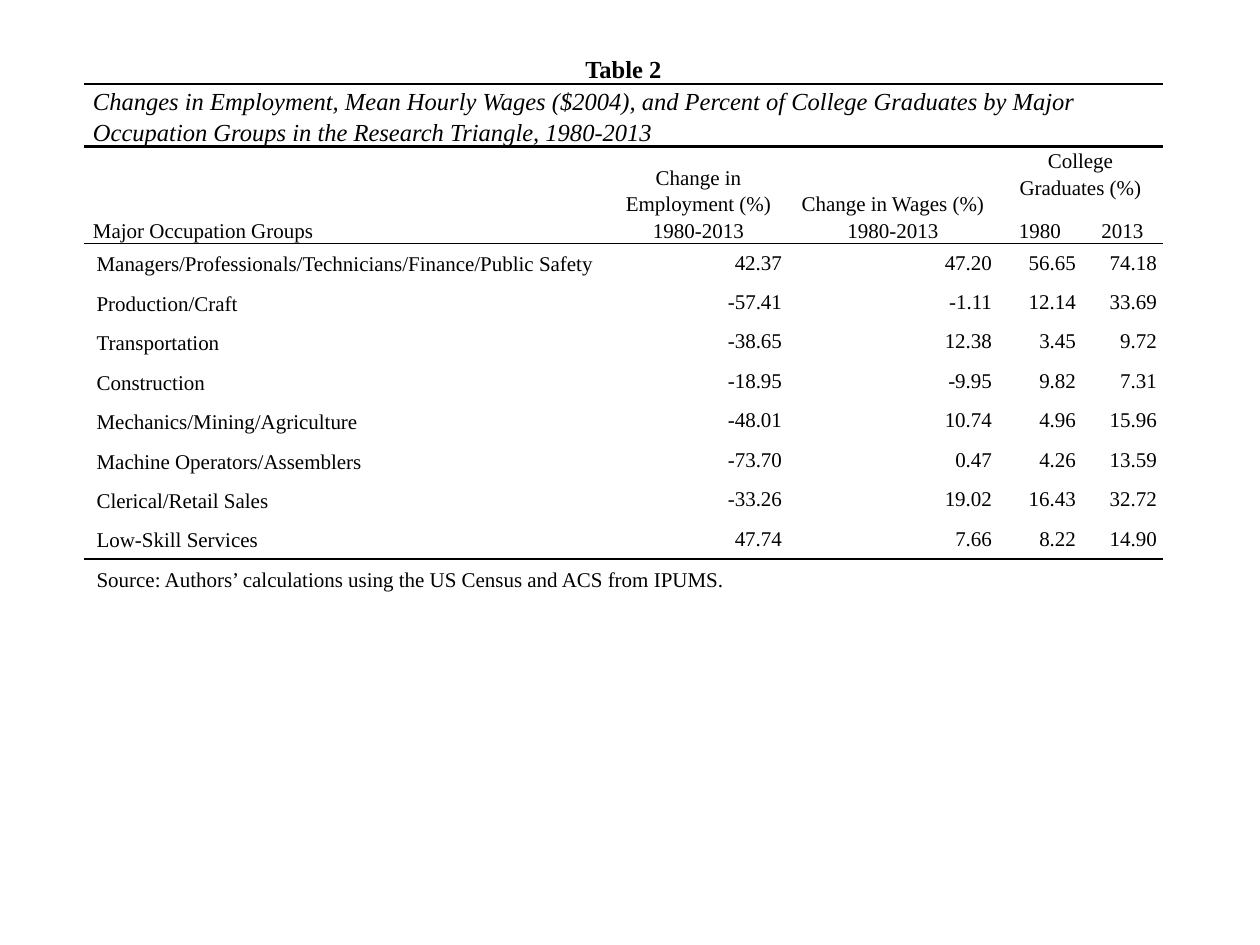
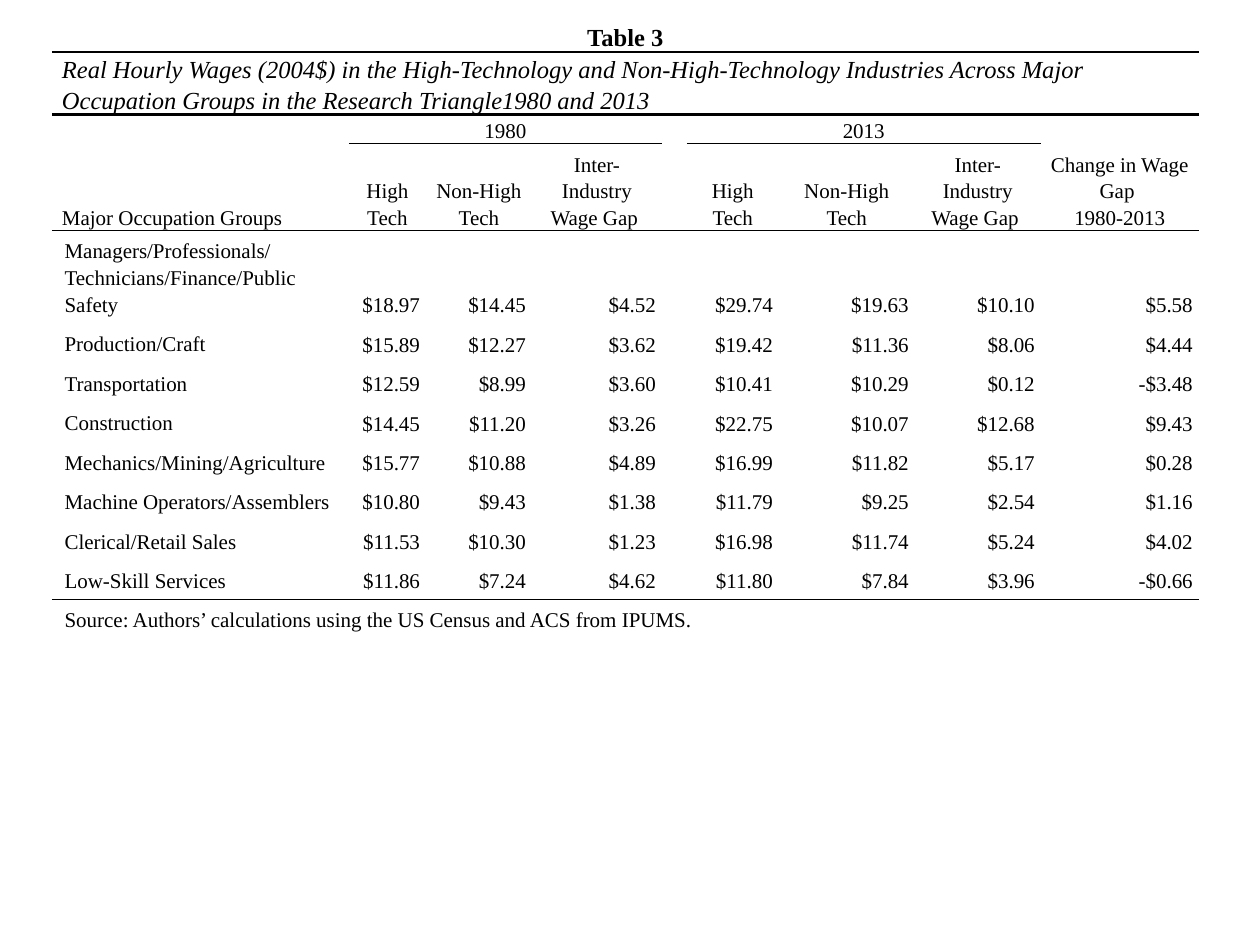
"""Build two slides, each holding one ruled statistical table."""
from dataclasses import dataclass

from lxml import etree
from pptx import Presentation
from pptx.dml.color import RGBColor
from pptx.enum.text import MSO_ANCHOR, PP_ALIGN
from pptx.oxml.ns import qn
from pptx.util import Pt

LEFT, CENTER, RIGHT = PP_ALIGN.LEFT, PP_ALIGN.CENTER, PP_ALIGN.RIGHT
BOTTOM, MIDDLE = MSO_ANCHOR.BOTTOM, MSO_ANCHOR.MIDDLE
EMU_PER_PIXEL = 914400 / 126
SLIDE_WIDTH, SLIDE_HEIGHT = 1260, 945
BLANK_LAYOUT = 6
FIRST_BODY_ROW = 4
TITLE_HEIGHT, CAPTION_HEIGHT, BODY_HEIGHT = 31, 62, 39


@dataclass(frozen=True)
class Theme:
    """Colours, type and rule widths shared by both tables."""
    ink: str = "000000"
    font: str = "Times New Roman"
    title_size: int = 14
    body_size: int = 12
    line_spacing: float = 1.15
    heavy_rule: float = 1.5
    light_rule: float = 1
    number_margin: int = 6


THEME = Theme()

TITLE_FONT = {"size": Pt(THEME.title_size), "bold": True, "italic": False}
CAPTION_FONT = {"size": Pt(THEME.title_size), "bold": False, "italic": True}
BODY_FONT = {"size": Pt(THEME.body_size), "bold": False, "italic": False}
SPACED = {"line_spacing": THEME.line_spacing}

# role: (font, paragraph, vertical anchor)
ROLES = {
    "title": (TITLE_FONT, {"alignment": CENTER, **SPACED}, BOTTOM),
    "caption": (CAPTION_FONT, {"alignment": LEFT, **SPACED}, BOTTOM),
    "row heading": (BODY_FONT, {"alignment": LEFT, **SPACED}, BOTTOM),
    "heading": (BODY_FONT, {"alignment": CENTER, **SPACED}, BOTTOM),
    "label": (BODY_FONT, {"alignment": LEFT, **SPACED}, MIDDLE),
    "number": (BODY_FONT, {"alignment": RIGHT}, MIDDLE),
}

GROUPS = ["Production/Craft", "Transportation", "Construction",
          "Mechanics/Mining/Agriculture", "Machine Operators/Assemblers",
          "Clerical/Retail Sales", "Low-Skill Services"]
SOURCE = "Source: Authors’ calculations using the US Census and ACS from IPUMS."

CHANGES = """
42.37 47.20 56.65 74.18
-57.41 -1.11 12.14 33.69
-38.65 12.38 3.45 9.72
-18.95 -9.95 9.82 7.31
-48.01 10.74 4.96 15.96
-73.70 0.47 4.26 13.59
-33.26 19.02 16.43 32.72
47.74 7.66 8.22 14.90
"""

WAGES = """
$18.97 $14.45 $4.52 $29.74 $19.63 $10.10 $5.58
$15.89 $12.27 $3.62 $19.42 $11.36 $8.06 $4.44
$12.59 $8.99 $3.60 $10.41 $10.29 $0.12 -$3.48
$14.45 $11.20 $3.26 $22.75 $10.07 $12.68 $9.43
$15.77 $10.88 $4.89 $16.99 $11.82 $5.17 $0.28
$10.80 $9.43 $1.38 $11.79 $9.25 $2.54 $1.16
$11.53 $10.30 $1.23 $16.98 $11.74 $5.24 $4.02
$11.86 $7.24 $4.62 $11.80 $7.84 $3.96 -$0.66
"""


@dataclass
class TableContent:
    """What differs from one table to the other; lengths in pixels."""
    left: int
    top: int
    columns: list
    heading_heights: list
    heading_margin: int
    number_anchor: object
    title: str
    caption: str
    headings: list
    heading_merges: list
    body: list
    group_rule_columns: tuple = ()


def pixels(length):
    """Turn pixels into EMU."""
    return round(length * EMU_PER_PIXEL)


def set_attributes(target, values):
    """Set every attribute named in a dict."""
    for name, value in values.items():
        setattr(target, name, value)


def body_rows(first_label, figures, gap=None):
    """Join group labels and figures, leaving an empty gap column if asked."""
    rows = []
    for label, line in zip([first_label, *GROUPS], figures.split("\n")[1:]):
        values = line.split()
        if gap is not None:
            values.insert(gap, "")
        rows.append([label, *values])
    return rows


def rule_widths(content, row_count):
    """Map (line, column) to a rule width, line 0 being the table's top."""
    lines = {1: THEME.heavy_rule, 2: THEME.heavy_rule,
             FIRST_BODY_ROW: THEME.light_rule, row_count - 1: THEME.light_rule}
    rules = {(line, column): width for line, width in lines.items()
             for column in range(len(content.columns))}
    for column in content.group_rule_columns:
        rules[FIRST_BODY_ROW - 1, column] = THEME.light_rule
    return rules


def draw_border(cell, side, width):
    """Give one side of a cell a solid rule, or none."""
    properties = cell._tc.get_or_add_tcPr()
    line = etree.SubElement(properties, qn(f"a:ln{side}"), w=str(Pt(width or 0)))
    if width:
        fill = etree.SubElement(line, qn("a:solidFill"))
        etree.SubElement(fill, qn("a:srgbClr"), val=THEME.ink)
    else:
        etree.SubElement(line, qn("a:noFill"))


def role_of(row, column, row_count):
    """Name the role a cell plays from its place in the table."""
    if row < 2:
        return ("title", "caption")[row]
    if row < FIRST_BODY_ROW:
        return "heading" if column else "row heading"
    return "number" if column and row < row_count - 1 else "label"


def set_margins(cell, side, end):
    """Set equal left and right, and equal top and bottom, margins."""
    set_attributes(cell, {"margin_left": pixels(side), "margin_right": pixels(side),
                          "margin_top": pixels(end), "margin_bottom": pixels(end)})


def write_cell(cell, text, role, content):
    """Write and format a cell's paragraphs; a line feed parts paragraphs."""
    font, paragraph_format, anchor = ROLES[role]
    cell.vertical_anchor = content.number_anchor if role == "number" else anchor
    if role == "number":
        set_margins(cell, THEME.number_margin, THEME.number_margin)
    elif role != "label":
        set_margins(cell, content.heading_margin, 0)
    frame = cell.text_frame
    for index, line in enumerate(text.split("\n")):
        paragraph = frame.add_paragraph() if index else frame.paragraphs[0]
        set_attributes(paragraph, paragraph_format)
        if line:
            run = paragraph.add_run()
            run.text = line
            set_attributes(run.font, {"name": THEME.font, **font})
            run.font.color.rgb = RGBColor.from_string(THEME.ink)
        else:
            etree.SubElement(paragraph._p, qn("a:endParaRPr"),
                             sz=str(THEME.body_size * 100))


def add_ruled_table(slide, content):
    """Add a table with title, caption, two heading rows, body and source."""
    column_count = len(content.columns)
    texts = [[content.title], [content.caption], *content.headings,
             *content.body, [SOURCE]]
    row_count = len(texts)
    heights = [TITLE_HEIGHT, CAPTION_HEIGHT, *content.heading_heights,
               *[BODY_HEIGHT] * (len(content.body) + 1)]
    table = slide.shapes.add_table(
        row_count, column_count, pixels(content.left), pixels(content.top),
        pixels(sum(content.columns)), pixels(sum(heights))).table
    set_attributes(table, {"first_row": False, "horz_banding": False})
    for column, width in zip(table.columns, content.columns):
        column.width = pixels(width)
    for row, height in zip(table.rows, heights):
        row.height = pixels(height)

    full_rows = [(row, 0, row, column_count - 1) for row in (0, 1, row_count - 1)]
    for top, left, bottom, right in full_rows + content.heading_merges:
        table.cell(top, left).merge(table.cell(bottom, right))

    rules = rule_widths(content, row_count)
    for row, row_texts in enumerate(texts):
        padding = [""] * (column_count - len(row_texts))
        for column, text in enumerate(row_texts + padding):
            cell = table.cell(row, column)
            write_cell(cell, text, role_of(row, column, row_count), content)
            last_line = row + (cell.span_height if cell.is_merge_origin else 1)
            borders = {"L": None, "R": None, "T": rules.get((row, column)),
                       "B": rules.get((last_line, column))}
            for side, width in borders.items():
                draw_border(cell, side, width)
            cell.fill.background()


def employment_table():
    """Describe the table of employment, wage and graduate changes."""
    return TableContent(
        left=84, top=53, columns=[525, 179, 210, 84, 81],
        heading_heights=[54, 43], heading_margin=9, number_anchor=MIDDLE,
        title="Table 2",
        caption="Changes in Employment, Mean Hourly Wages ($2004), and Percent of "
                "College Graduates by Major Occupation Groups in the Research "
                "Triangle, 1980-2013",
        headings=[["Major Occupation Groups", "Change in Employment (%)\n1980-2013",
                   "Change in Wages (%)\n1980-2013", "College Graduates (%)"],
                  ["", "", "", "1980", "2013"]],
        heading_merges=[(2, column, 3, column) for column in range(3)]
        + [(2, 3, 2, 4)],
        body=body_rows("Managers/Professionals/Technicians/Finance/Public Safety",
                       CHANGES))


def wage_table():
    """Describe the table of wages by industry and year."""
    industries = ["High Tech", "Non-High Tech", "Inter-Industry Wage Gap "]
    return TableContent(
        left=52, top=21, columns=[297, 77, 106, 130, 24, 92, 136, 126, 158],
        heading_heights=[29, 87], heading_margin=10, number_anchor=BOTTOM,
        title="Table 3",
        caption="Real Hourly Wages (2004$) in the High-Technology and "
                "Non-High-Technology Industries Across Major Occupation Groups "
                "in the Research Triangle1980 and 2013",
        headings=[["Major Occupation Groups", "1980", "", "", "", "2013", "", "",
                   "Change in Wage Gap \n1980-2013"],
                  ["", *industries, "", *industries, ""]],
        heading_merges=[(2, column, 3, column) for column in (0, 4, 8)]
        + [(2, column, 2, column + 2) for column in (1, 5)],
        body=body_rows("Managers/Professionals/\nTechnicians/Finance/Public Safety",
                       WAGES, gap=3),
        group_rule_columns=(1, 2, 3, 5, 6, 7))


def main():
    """Build and save the presentation."""
    presentation = Presentation()
    set_attributes(presentation, {"slide_width": pixels(SLIDE_WIDTH),
                                  "slide_height": pixels(SLIDE_HEIGHT)})
    for content in (employment_table(), wage_table()):
        slide = presentation.slides.add_slide(
            presentation.slide_layouts[BLANK_LAYOUT])
        add_ruled_table(slide, content)
    presentation.save("out.pptx")


main()
